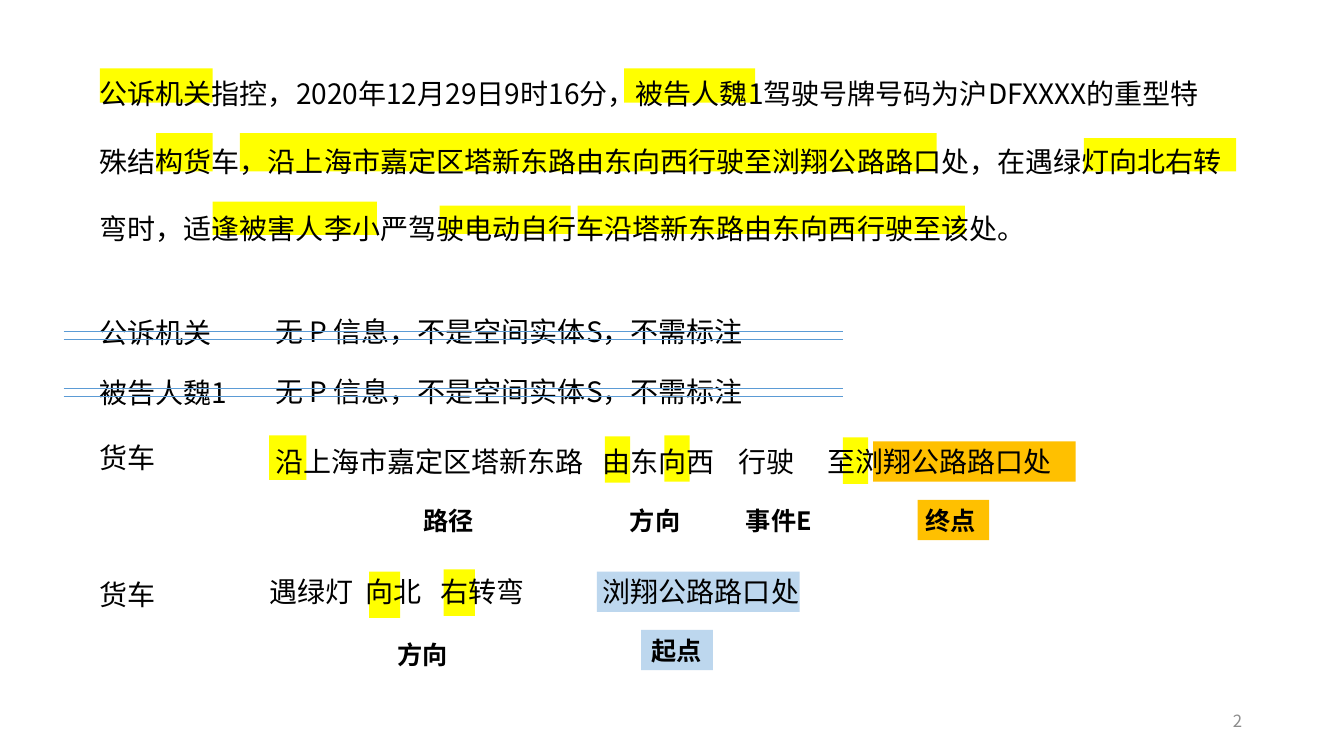
from lxml.etree import SubElement
from pptx import Presentation
from pptx.dml.color import RGBColor
from pptx.enum.lang import MSO_LANGUAGE_ID as Language
from pptx.enum.shapes import MSO_CONNECTOR as Connector, MSO_SHAPE as Shape
from pptx.enum.text import MSO_ANCHOR as Anchor, MSO_AUTO_SIZE as AutoSize, PP_ALIGN as Align
from pptx.oxml.ns import qn
from pptx.util import Inches, Pt

BLACK = RGBColor(0x00, 0x00, 0x00)
GRAY = RGBColor(0x8C, 0x8C, 0x8C)
YELLOW = RGBColor(0xFF, 0xFF, 0x00)
ORANGE = RGBColor(0xFF, 0xC0, 0x00)
LIGHT_BLUE = RGBColor(0xBD, 0xD7, 0xEE)
BLUE = RGBColor(0x5B, 0x9B, 0xD5)


class AnnotationSlide:
    font_name = "Noto Sans CJK SC"
    body_size = 20
    label_size = 18

    def __init__(self, presentation):
        self.slide = presentation.slides.add_slide(presentation.slide_layouts[6])

    def highlight(self, left, top, width, height, color=YELLOW):
        shape = self.slide.shapes.add_shape(
            Shape.RECTANGLE, Inches(left), Inches(top), Inches(width), Inches(height))
        shape.shadow.inherit = False
        shape.fill.solid()
        shape.fill.fore_color.rgb = color
        shape.line.fill.background()

    def text(self, text, left, top, width, height=0.44, size=body_size, bold=False,
             color=BLACK, spacing=None, tabs=(), wrap=True):
        box = self.slide.shapes.add_textbox(
            Inches(left), Inches(top), Inches(width), Inches(height))
        frame = box.text_frame
        frame.text = text
        frame.word_wrap = wrap
        frame.auto_size = AutoSize.SHAPE_TO_FIT_TEXT
        paragraph = frame.paragraphs[0]
        if spacing:
            paragraph.line_spacing = spacing
        if tabs:
            tab_list = SubElement(paragraph._p.get_or_add_pPr(), qn("a:tabLst"))
            for position in tabs:
                SubElement(tab_list, qn("a:tab"), pos=str(Inches(position)), algn="l")
        for run in paragraph.runs:
            font = run.font
            font.name = self.font_name
            font.size = Pt(size)
            font.bold = bold
            font.color.rgb = color
            font.language_id = Language.SIMPLIFIED_CHINESE
            SubElement(run._r.get_or_add_rPr(), qn("a:ea"), typeface=self.font_name)
        return box

    def label(self, text, left, top, width):
        self.text(text, left, top, width, 0.4, self.label_size, bold=True)

    def strike(self, top):
        line = self.slide.shapes.add_connector(
            Connector.STRAIGHT, Inches(0.63), Inches(top), Inches(8.36), Inches(top))
        line.line.color.rgb = BLUE
        line.line.width = Pt(0.5)
        SubElement(line._element.spPr, qn("a:effectLst"))

    def page_number(self, number):
        box = self.text(number, 9.42, 6.95, 3, 0.4, 12, color=GRAY)
        box.text_frame.auto_size = AutoSize.NONE
        box.text_frame.vertical_anchor = Anchor.MIDDLE
        box.text_frame.paragraphs[0].alignment = Align.RIGHT


presentation = Presentation()
presentation.slide_width = Inches(13.33)
presentation.slide_height = Inches(7.5)
page = AnnotationSlide(presentation)

for left, top, color in ((8.66, 4.38, ORANGE), (5.92, 5.67, LIGHT_BLUE)):
    page.highlight(left, top, 2.01, 0.4, color)
    page.highlight(left + 0.44, top + 0.58, 0.71, 0.4, color)

case_marks = (
    (0.68, 0.34, ((0.99, 1.12), (6.19, 1.3))),
    (1.32, 0.38, ((1.55, 0.56), (2.38, 6.91))),
    (1.37, 0.33, ((10.75, 1.51),)),
    (2, 0.33, ((2.11, 1.63),)),
    (2.04, 0.28, ((4.36, 1.3), (5.73, 3.84))),
)
for top, height, spans in case_marks:
    for left, width in spans:
        page.highlight(left, top, width, height)

preposition_marks = (
    (2.67, 4.32, 0.37, 0.44), (6, 4.33, 0.25, 0.46), (6.59, 4.32, 0.25, 0.46),
    (8.36, 4.34, 0.25, 0.46), (3.66, 5.67, 0.31, 0.46), (4.4, 5.65, 0.31, 0.46),
)
for mark in preposition_marks:
    page.highlight(*mark)

page.text(
    "公诉机关指控，2020年12月29日9时16分，被告人魏1驾驶号牌号码为沪DFXXXX的"
    "重型特殊结构货车，沿上海市嘉定区塔新东路由东向西行驶至浏翔公路路口处，在遇绿灯向"
    "北右转弯时，适逢被害人李小严驾驶电动自行车沿塔新东路由东向西行驶至该处。",
    0.89, 0.38, 11.37, 2.12, spacing=2.0)

for entity, top in (("公诉机关", 3.08), ("被告人魏1", 3.68)):
    page.text(entity, 0.89, top, 1.74)
    page.text("无 P 信息，不是空间实体S，不需标注", 2.63, top - 0.01, 5.55)
for top in (4.32, 5.68):
    page.text("货车", 0.89, top, 0.9)

page.text("沿上海市嘉定区塔新东路\t由东向西\t行驶\t至浏翔公路路口处",
          2.63, 4.36, 8.3, tabs=(3.25, 4.6, 5.48))
page.text("遇绿灯\t向北\t右转弯", 2.57, 5.65, 3.1, tabs=(0.96, 1.7))
page.text("浏翔公路路口处", 5.88, 5.65, 2.17, wrap=False)

labels = (
    ("路径", 4.1, 4.96, 0.93), ("方向", 6.15, 4.96, 0.74), ("事件E", 7.3, 4.96, 0.9),
    ("终点", 9.08, 4.96, 0.9), ("方向", 3.84, 6.29, 0.93), ("起点", 6.36, 6.25, 0.8),
)
for label in labels:
    page.label(*label)

for top in (3.29, 3.85):
    page.strike(top)
    page.strike(top + 0.08)

page.page_number("2")
presentation.save("out.pptx")
